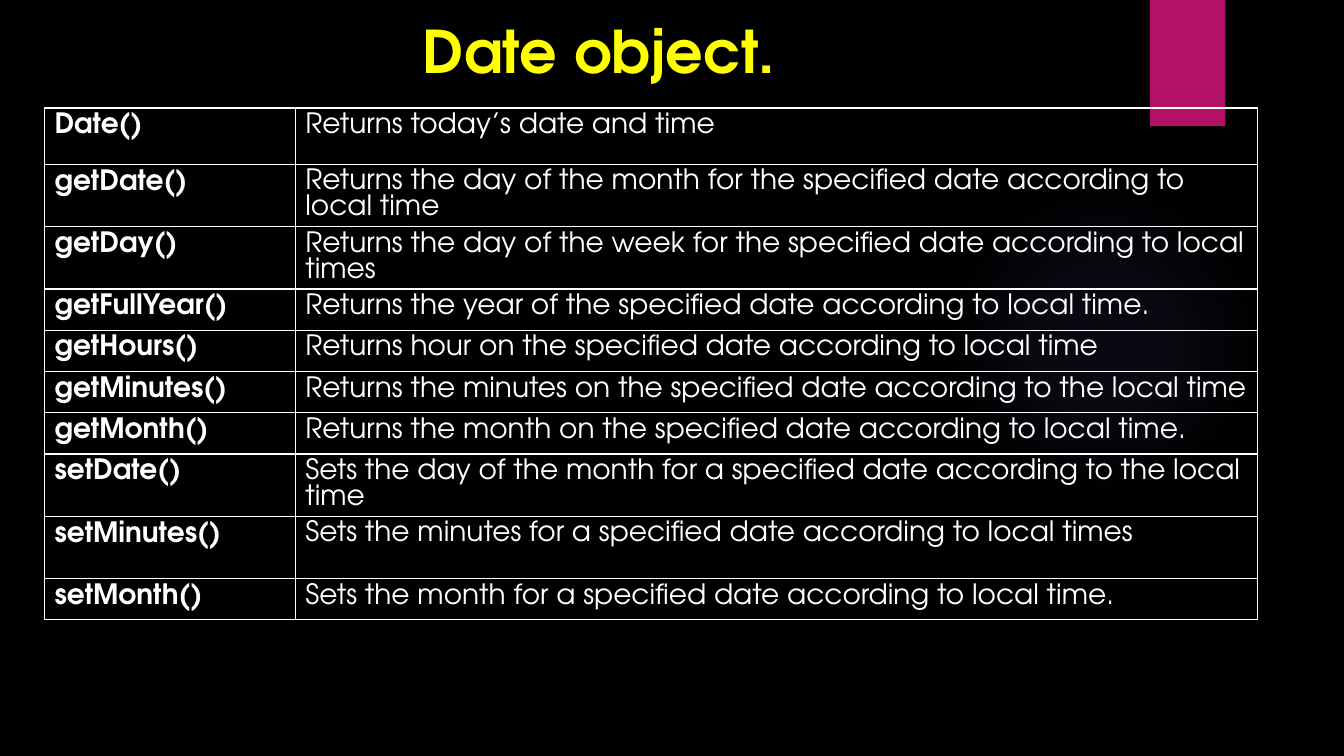
from dataclasses import dataclass

from pptx import Presentation
from pptx.dml.color import RGBColor
from pptx.enum.shapes import MSO_SHAPE
from pptx.enum.text import MSO_ANCHOR, PP_ALIGN
from pptx.oxml import parse_xml
from pptx.oxml.ns import nsdecls, qn
from pptx.slide import Slide
from pptx.util import Cm, Pt

RECTANGLE, OVAL = MSO_SHAPE.RECTANGLE, MSO_SHAPE.OVAL
LEFT, TOP = PP_ALIGN.LEFT, MSO_ANCHOR.TOP


@dataclass(frozen=True)
class Theme:
    """Colours, font and type sizes of the slide."""
    background: str = "000000"
    text: str = "FFFFFF"
    title: str = "FFFF00"
    bookmark: str = "B31166"
    glow: str = "9B6BF2"
    font: str = "TeX Gyre Adventor"
    title_size: float = 42
    table_size: float = 20
    table_leading: float = 18.5
    border_width: float = 1


@dataclass(frozen=True)
class Method:
    """One table row: a Date method, what it does, and the row height in cm."""
    name: str
    description: str
    height: float = 1.04


THEME = Theme()
COLUMN_WIDTHS = (6.32, 24.26)
TALL = 1.57
METHODS = (
    Method("Date()", "Returns today’s date and time", 1.42),
    Method("getDate()", "Returns the day of the month for the specified date "
           "according to local time", TALL),
    Method("getDay()", "Returns the day of the week for the specified date "
           "according to local times", TALL),
    Method("getFullYear()", "Returns the year of the specified date according to local time."),
    Method("getHours()", "Returns hour on the specified date according to local time"),
    Method("getMinutes()", "Returns the minutes on the specified date "
           "according to the local time"),
    Method("getMonth()", "Returns the month on the specified date according to local time."),
    Method("setDate()", "Sets the day of the month for a specified date "
           "according to the local time", TALL),
    Method("setMinutes()", "Sets the minutes for a specified date according to local times", TALL),
    Method("setMonth()", "Sets the month for a specified date according to local time."),
)


def style_paragraph(paragraph, size: float, color: str, bold: bool) -> None:
    """Set font and alignment of a paragraph."""
    paragraph.alignment = LEFT
    paragraph.font.name = THEME.font
    paragraph.font.size = Pt(size)
    paragraph.font.bold = bold
    paragraph.font.color.rgb = RGBColor.from_string(color)


def add_glow(slide: Slide) -> None:
    """Add the faint round glow that fades to nothing at its edge."""
    glow = slide.shapes.add_shape(OVAL, Cm(23.9), Cm(4.65), Cm(7.82), Cm(7.82))
    glow.shadow.inherit = False
    glow.line.fill.background()
    glow.fill.background()
    stops = "".join(
        f'<a:gs pos="{position * 1000}"><a:srgbClr val="{THEME.glow}">'
        f'<a:alpha val="{alpha * 1000}"/></a:srgbClr></a:gs>'
        for position, alpha in ((0, 7), (36, 6), (69, 0)))
    gradient = parse_xml(
        f'<a:gradFill {nsdecls("a")}><a:gsLst>{stops}</a:gsLst><a:path path="circle">'
        '<a:fillToRect l="50000" t="50000" r="50000" b="50000"/></a:path></a:gradFill>')
    properties = glow.element.spPr
    properties.replace(properties.find(qn("a:noFill")), gradient)


def add_bookmark(slide: Slide) -> None:
    """Add the coloured tab hanging from the top edge."""
    bookmark = slide.shapes.add_shape(RECTANGLE, Cm(28.98), Cm(0), Cm(1.9), Cm(3.18))
    bookmark.shadow.inherit = False
    bookmark.fill.solid()
    bookmark.fill.fore_color.rgb = RGBColor.from_string(THEME.bookmark)
    bookmark.line.fill.background()


def add_title(slide: Slide, text: str) -> None:
    """Add the slide title."""
    frame = slide.shapes.add_textbox(Cm(10.41), Cm(0.25), Cm(10.16), Cm(2.46)).text_frame
    frame.word_wrap = True
    frame.vertical_anchor = TOP
    paragraph = frame.paragraphs[0]
    paragraph.text = text
    style_paragraph(paragraph, THEME.title_size, THEME.title, bold=True)


def style_cell(cell) -> None:
    """Give a cell thin borders on all sides and no fill."""
    properties = cell._tc.get_or_add_tcPr()
    for side in ("lnL", "lnR", "lnT", "lnB"):
        properties.append(parse_xml(
            f'<a:{side} {nsdecls("a")} w="{Pt(THEME.border_width)}"><a:solidFill>'
            f'<a:srgbClr val="{THEME.text}"/></a:solidFill></a:{side}>'))
    cell.fill.background()
    cell.vertical_anchor = TOP


def add_method_table(slide: Slide) -> None:
    """Add the table of Date methods."""
    height = sum(method.height for method in METHODS)
    table = slide.shapes.add_table(
        len(METHODS), len(COLUMN_WIDTHS), Cm(1.12), Cm(2.72),
        Cm(sum(COLUMN_WIDTHS)), Cm(height)).table
    table.first_row = table.horz_banding = False
    for column, width in zip(table.columns, COLUMN_WIDTHS):
        column.width = Cm(width)
    for row, method in zip(table.rows, METHODS):
        row.height = Cm(method.height)
        for index, text in enumerate((method.name, method.description)):
            cell = row.cells[index]
            style_cell(cell)
            paragraph = cell.text_frame.paragraphs[0]
            paragraph.text = text
            paragraph.line_spacing = Pt(THEME.table_leading)
            style_paragraph(paragraph, THEME.table_size, THEME.text, bold=index == 0)


def main() -> None:
    """Build and save the presentation."""
    presentation = Presentation()
    presentation.slide_width, presentation.slide_height = Cm(33.87), Cm(19.05)
    slide = presentation.slides.add_slide(presentation.slide_layouts[6])
    slide.background.fill.solid()
    slide.background.fill.fore_color.rgb = RGBColor.from_string(THEME.background)
    add_glow(slide)
    add_bookmark(slide)
    add_title(slide, "Date object.")
    add_method_table(slide)
    presentation.save("out.pptx")


main()
